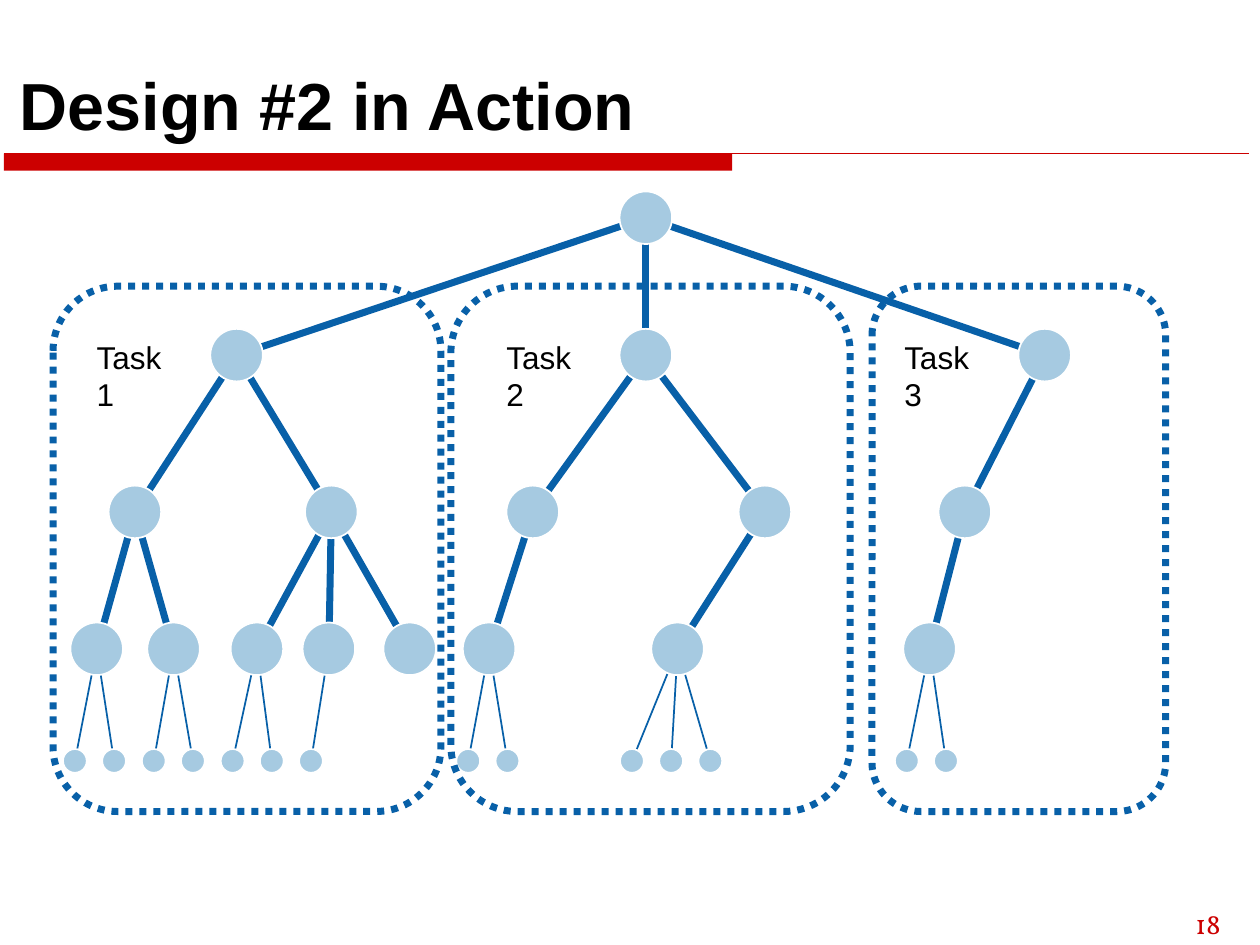
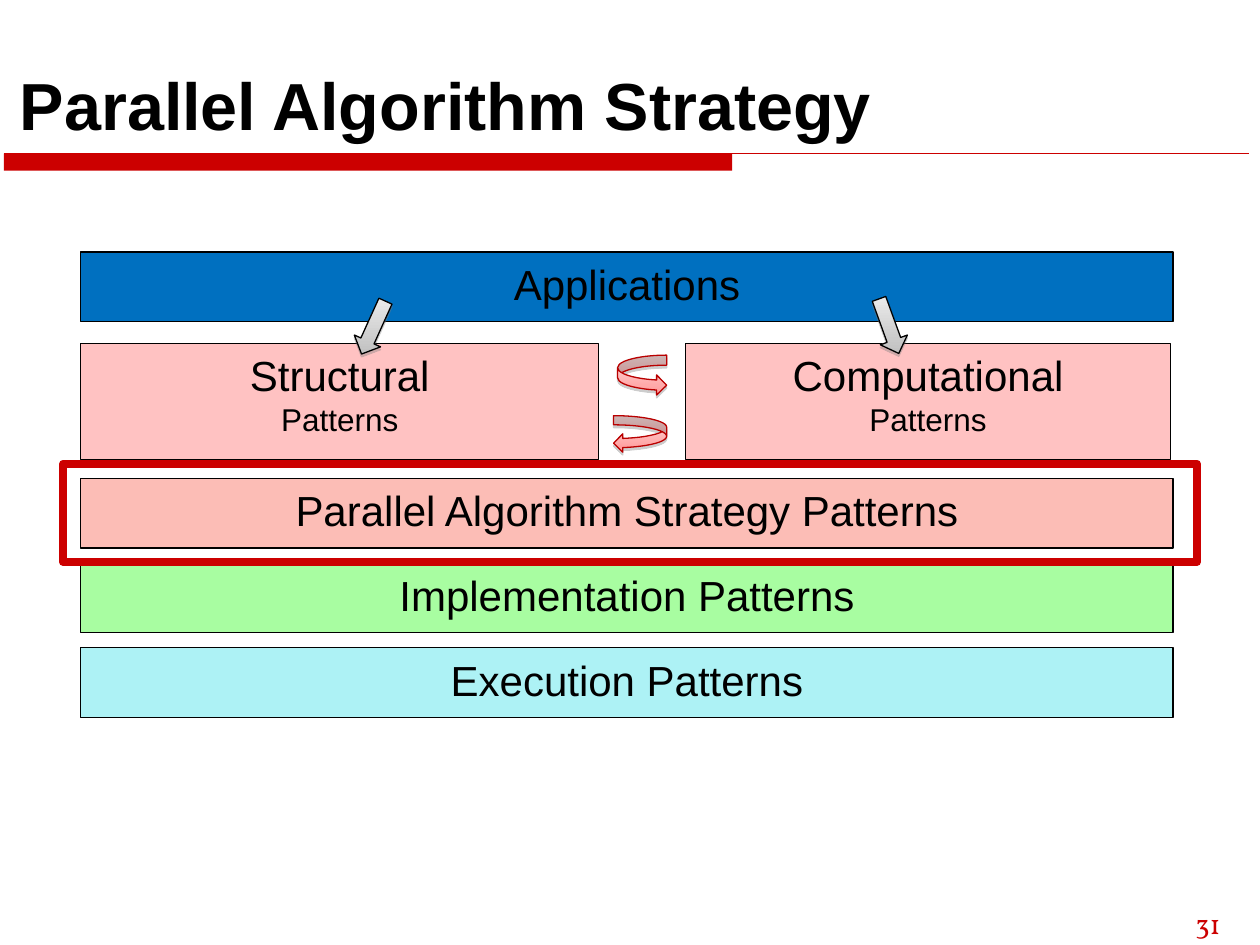
from itertools import count

from lxml import etree
from pptx import Presentation
from pptx.dml.color import RGBColor
from pptx.enum import dml, shapes, text
from pptx.oxml.ns import qn
from pptx.util import Cm, Pt

BLACK = RGBColor(0x00, 0x00, 0x00)
WHITE = RGBColor(0xFF, 0xFF, 0xFF)
RED = RGBColor(0xCC, 0x00, 0x00)
DARK_RED = RGBColor(0xB9, 0x00, 0x00)
EDGE_BLUE = RGBColor(0x08, 0x60, 0xA8)
NODE_BLUE = RGBColor(0xA6, 0xCA, 0xE1)
APPLICATION_BLUE = RGBColor(0x00, 0x70, 0xC0)
PINK = RGBColor(0xFF, 0xC2, 0xC2)
SALMON = RGBColor(0xFC, 0xBD, 0xB6)
GREEN = RGBColor(0xA8, 0xFD, 0xA1)
CYAN = RGBColor(0xAD, 0xF2, 0xF5)
PINK_GRADIENT = (RGBColor(0xFF, 0xE2, 0xE2), RGBColor(0xFF, 0x97, 0x97))
GRAY_GRADIENT = (RGBColor(0xED, 0xED, 0xED), RGBColor(0xBC, 0xBC, 0xBC))

TITLE_FONT = {"name": "Arial", "size": Pt(38), "bold": True}
NUMBER_FONT = {"name": "Vollkorn", "size": Pt(16)}
LARGE_FONT = {"name": "Arial", "size": Pt(24)}
SMALL_FONT = {"name": "Arial", "size": Pt(18)}

LEVEL_TOPS = (4.39, 7.16, 10.32, 13.08, 15.34)  # centre height of each tree level
NODE_SIZE, LEAF_SIZE = 1.06, 0.48
LEAF_LEVEL = len(LEVEL_TOPS) - 1
LEAF_STEP = 0.79


def leaves(first, number):
    return [(first + LEAF_STEP * index, []) for index in range(number)]


# Every node is (centre x, children).
TASK_1 = (4.77, [
    (2.72, [(1.95, leaves(1.51, 2)), (3.5, leaves(3.1, 2))]),
    (6.68, [(5.18, leaves(4.69, 2)), (6.63, leaves(6.27, 1)), (8.26, [])]),
])
TASK_2 = (13.02, [
    (10.74, [(9.86, leaves(9.44, 2))]),
    (15.42, [(13.66, leaves(12.74, 3))]),
])
TASK_3 = (21.06, [(19.45, [(18.74, leaves(18.28, 2))])])
TREE = (13.02, [TASK_1, TASK_2, TASK_3])


def write(shape, lines, color=BLACK, align=text.PP_ALIGN.LEFT,
          anchor=text.MSO_ANCHOR.TOP, wrap=True):
    """Fill a shape with (words, font format) lines, one paragraph each."""
    frame = shape.text_frame
    frame.word_wrap = wrap
    frame.vertical_anchor = anchor
    for index, (words, font_format) in enumerate(lines):
        paragraph = frame.add_paragraph() if index else frame.paragraphs[0]
        paragraph.alignment = align
        run = paragraph.add_run()
        run.text = words
        for name, value in font_format.items():
            setattr(run.font, name, value)
        run.font.color.rgb = color


def add_text(slide, box, lines, **options):
    write(slide.shapes.add_textbox(*map(Cm, box)), lines, **options)


def add_shape(slide, kind, box, fill=None, line=None, width=0.75):
    shape = slide.shapes.add_shape(kind, *map(Cm, box))
    shape.shadow.inherit = False
    if fill is None:
        shape.fill.background()
    else:
        shape.fill.solid()
        shape.fill.fore_color.rgb = fill
    if line is None:
        shape.line.fill.background()
    else:
        shape.line.color.rgb = line
        shape.line.width = Pt(width)
    return shape


def add_line(slide, start, end, color, width):
    line = slide.shapes.add_connector(
        shapes.MSO_CONNECTOR.STRAIGHT, *map(Cm, (*start, *end)))
    line.line.color.rgb = color
    line.line.width = Pt(width)
    etree.SubElement(line._element.spPr, qn("a:effectLst"))


def add_gradient_arrow(slide, kind, box, colors, line, rotation=0):
    """Arrow shaded from top to bottom, whatever its rotation, with a shadow."""
    arrow = add_shape(slide, kind, box, line=line)
    arrow.rotation = rotation
    arrow.fill.gradient()
    arrow.fill.gradient_angle = (270 + rotation) % 360
    for stop, position, color in zip(arrow.fill.gradient_stops, (0, 1), colors):
        stop.position = position
        stop.color.rgb = color
    effects = arrow._element.spPr.find(qn("a:effectLst"))
    shadow = etree.SubElement(effects, qn("a:outerShdw"), blurRad="0",
                              dist=str(Pt(1.6)), dir="5400000", rotWithShape="0")
    color = etree.SubElement(shadow, qn("a:srgbClr"), val="808080")
    etree.SubElement(color, qn("a:alpha"), val="38000")


def add_slide(presentation, title, number):
    """Slide with the shared title, red rule and page number."""
    slide = presentation.slides.add_slide(presentation.slide_layouts[6])
    add_shape(slide, shapes.MSO_SHAPE.RECTANGLE, (0.08, 3.1, 14.68, 0.34), RED)
    add_line(slide, (0.08, 3.1), (25.17, 3.1), RED, 0.75)
    add_text(slide, (23.85, 18.16, 1.5, 0.89), [(number, NUMBER_FONT)], color=RED)
    add_text(slide, (0.15, 0.84, 24.87, 2.18), [(title, TITLE_FONT)],
             anchor=text.MSO_ANCHOR.BOTTOM)
    return slide


def add_edges(slide, node, level=0):
    x, children = node
    for child in children:
        width = 1 if level + 1 == LEAF_LEVEL else 4
        add_line(slide, (x, LEVEL_TOPS[level]),
                 (child[0], LEVEL_TOPS[level + 1]), EDGE_BLUE, width)
        add_edges(slide, child, level + 1)


def add_nodes(slide, node, level=0):
    x, children = node
    size = LEAF_SIZE if level == LEAF_LEVEL else NODE_SIZE
    box = (x - size / 2, LEVEL_TOPS[level] - size / 2, size, size)
    add_shape(slide, shapes.MSO_SHAPE.OVAL, box, NODE_BLUE, WHITE, 1)
    for child in children:
        add_nodes(slide, child, level + 1)


def add_task_frame(slide, number, left, width, label_left):
    frame = add_shape(slide, shapes.MSO_SHAPE.ROUNDED_RECTANGLE,
                      (left, 5.77, width, 10.59), line=EDGE_BLUE, width=4)
    frame.line.dash_style = dml.MSO_LINE.ROUND_DOT
    add_text(slide, (label_left, 6.68, 1.88, 1.78),
             [("Task", SMALL_FONT), (str(number), SMALL_FONT)], wrap=False)


def add_layer(slide, box, fill, *lines):
    layer = add_shape(slide, shapes.MSO_SHAPE.RECTANGLE, box, fill, BLACK)
    write(layer, lines, align=text.PP_ALIGN.CENTER)


def build_tree_slide(presentation):
    slide = add_slide(presentation, "Design #2 in Action", "18")
    add_edges(slide, TREE)
    add_nodes(slide, TREE)
    frames = ((1.07, 7.82, 1.7), (9.09, 8.05, 9.96), (17.58, 5.92, 17.98))
    for number, frame in zip(count(1), frames):
        add_task_frame(slide, number, *frame)


def build_strategy_slide(presentation):
    slide = add_slide(presentation, "Parallel Algorithm Strategy", "31")
    layers = (
        ("Applications", 5.08, APPLICATION_BLUE),
        ("Parallel Algorithm Strategy Patterns", 9.65, SALMON),
        ("Implementation Patterns", 11.35, GREEN),
        ("Execution Patterns", 13.06, CYAN),
    )
    for words, top, fill in layers:
        add_layer(slide, (1.63, top, 22.02, 1.4), fill, (words, LARGE_FONT))
    for words, left, width in (("Structural", 1.63, 10.44),
                               ("Computational", 13.82, 9.78)):
        add_layer(slide, (left, 6.93, width, 2.34), PINK,
                  (words, LARGE_FONT), ("Patterns", SMALL_FONT))

    kinds = shapes.MSO_SHAPE
    for kind, box in ((kinds.CURVED_RIGHT_ARROW, (12.45, 7.16, 0.99, 0.81)),
                      (kinds.CURVED_LEFT_ARROW, (12.37, 8.38, 1.07, 0.74))):
        add_gradient_arrow(slide, kind, box, PINK_GRADIENT, DARK_RED)
    for left, top, rotation in ((7.24, 6.02, 24.3), (17.63, 5.99, 340.1)):
        add_gradient_arrow(slide, kinds.DOWN_ARROW, (left, top, 0.58, 1.17),
                           GRAY_GRADIENT, BLACK, rotation)
    add_shape(slide, kinds.RECTANGLE, (1.27, 9.35, 22.86, 1.98),
              line=RED, width=4.5)


def main():
    presentation = Presentation()
    presentation.slide_width = Cm(25.4)
    presentation.slide_height = Cm(19.05)
    build_tree_slide(presentation)
    build_strategy_slide(presentation)
    presentation.save("out.pptx")


if __name__ == "__main__":
    main()
